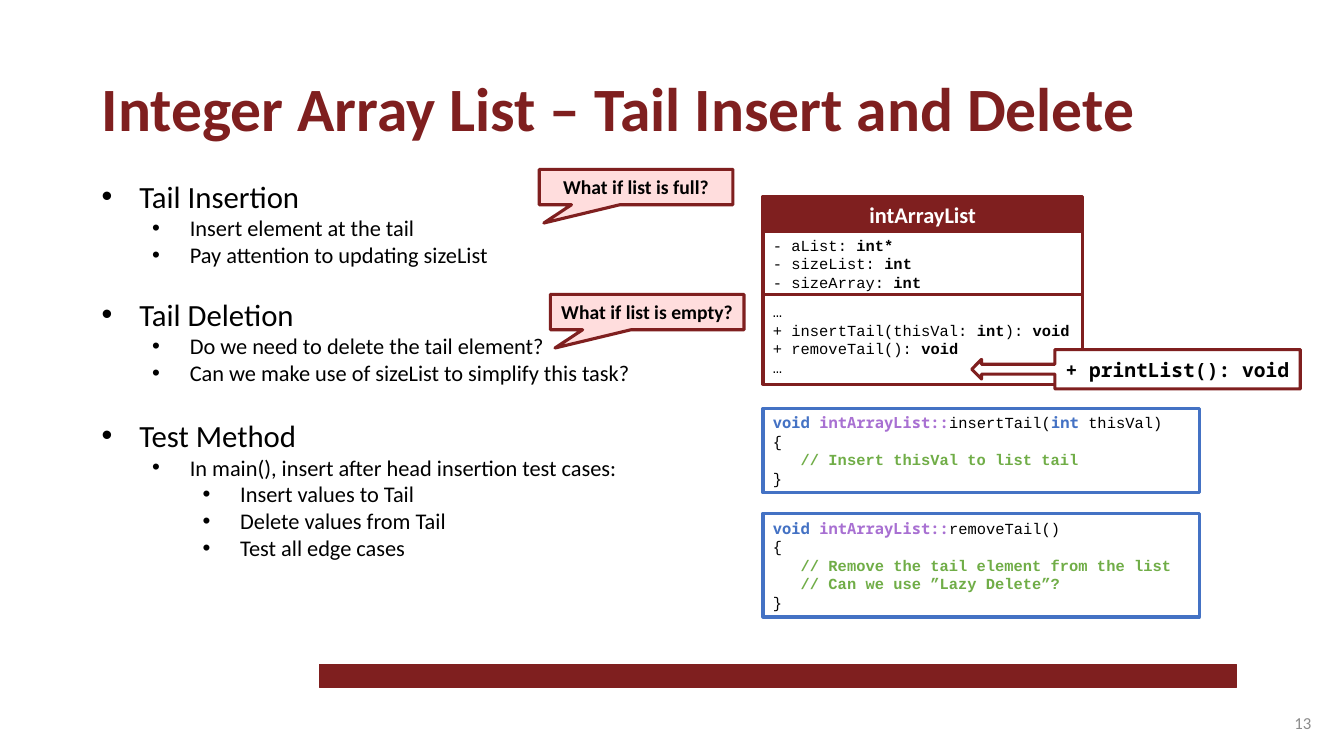
from lxml.etree import SubElement
from pptx import Presentation
from pptx.dml.color import RGBColor as RGB
from pptx.enum.shapes import MSO_SHAPE as SHAPE
from pptx.enum.text import MSO_ANCHOR as ANCHOR, MSO_AUTO_SIZE as AUTO, PP_ALIGN as ALIGN
from pptx.oxml.ns import qn
from pptx.util import Cm, Pt

RED = RGB(0x7F, 0x1F, 0x1F)
PINK = RGB(0xFF, 0xDD, 0xDD)
BLUE = RGB(0x44, 0x72, 0xC4)
PURPLE = RGB(0xA8, 0x70, 0xD2)
GREEN = RGB(0x70, 0xAD, 0x47)
GRAY = RGB(0x8C, 0x8C, 0x8C)
BLACK = RGB(0, 0, 0)
WHITE = RGB(0xFF, 0xFF, 0xFF)

SANS, MONO, CODE = "Calibri", "Noto Sans Mono", "Courier New"

# Run styles: font name, colour, bold
PLAIN = (CODE, BLACK, False)
BOLD = (CODE, BLACK, True)
NOTE = (CODE, GREEN, True)
KEY = (MONO, BLUE, True)
OWNER = (MONO, PURPLE, True)

# Outline: space before in points, level, text
TOPICS = [
    (0, 0, "Tail Insertion"),
    (0, 1, "Insert element at the tail"),
    (0, 1, "Pay attention to updating sizeList"),
    (19.5, 0, "Tail Deletion"),
    (0, 1, "Do we need to delete the tail element?"),
    (0, 1, "Can we make use of sizeList to simplify this task?"),
    (22, 0, "Test Method"),
    (0, 1, "In main(), insert after head insertion test cases:"),
    (0, 2, "Insert values to Tail"),
    (0, 2, "Delete values from Tail"),
    (0, 2, "Test all edge cases"),
]

# Code lines: lists of (text, run style)
FIELDS = [[(f"- {name}: ", PLAIN), (kind, BOLD)] for name, kind in
          [("aList", "int*"), ("sizeList", "int"), ("sizeArray", "int")]]
METHODS = [
    [("…", PLAIN)],
    [("+ insertTail(thisVal: ", PLAIN), ("int", BOLD), ("): ", PLAIN), ("void", BOLD)],
    [("+ removeTail(): ", PLAIN), ("void", BOLD)],
    [("…", PLAIN)],
]
INSERT = [("insertTail(", PLAIN), ("int ", KEY), ("thisVal)", PLAIN)]
REMOVE = [("removeTail()", PLAIN)]


def body_of(head, *notes):
    """Return the code lines of one method with its comments."""
    return [[("void ", KEY), ("intArrayList::", OWNER), *head], [("{", PLAIN)],
            *[[(note, NOTE)] for note in notes], [("}", PLAIN)]]


def style(font, size, name, color, bold=False):
    font.size, font.name, font.bold = Pt(size), name, bold
    font.color.rgb = color


class Deck:
    def __init__(self):
        self.show = Presentation()
        self.show.slide_width, self.show.slide_height = Cm(33.87), Cm(19.05)
        self.slide = self.show.slides.add_slide(self.show.slide_layouts[1])

    def place(self, shape, x, y, w, h):
        shape.left, shape.top, shape.width, shape.height = map(Cm, (x, y, w, h))
        frame = shape.text_frame
        frame.word_wrap, frame.auto_size = True, AUTO.NONE
        frame.vertical_anchor = ANCHOR.TOP
        return frame

    def title(self, text, *area):
        frame = self.place(self.slide.shapes.title, *area)
        frame.text = text
        para = frame.paragraphs[0]
        para.alignment = ALIGN.LEFT
        style(para.font, 44, SANS, RED, True)

    def outline(self, items, *area):
        frame = self.place(self.slide.placeholders[1], *area)
        for i, (gap, level, text) in enumerate(items):
            para = frame.add_paragraph() if i else frame.paragraphs[0]
            para.text, para.level = text, level
            para.space_before = Pt(gap)
            props = para._p.get_or_add_pPr()
            props.set("marL", str(Cm(0.95 + 1.27 * level)))
            props.set("indent", str(Cm(-0.95)))
            SubElement(props, qn("a:buFont"), typeface="Arial")
            SubElement(props, qn("a:buChar"), char="•")
            style(para.font, 16 if level else 22, SANS, BLACK)

    def number(self, text, *area):
        frame = self.place(self.slide.shapes.add_textbox(0, 0, 0, 0), *area)
        frame.vertical_anchor = ANCHOR.MIDDLE
        self.label(frame, text, 12, SANS, GRAY, False, ALIGN.RIGHT)

    def label(self, frame, text, size, name, color, bold=True, align=ALIGN.CENTER):
        frame.text = text
        para = frame.paragraphs[0]
        para.alignment = align
        style(para.font, size, name, color, bold)

    def box(self, area, fill, line=RED, width=2.25, kind=SHAPE.RECTANGLE, adjust=()):
        shape = self.slide.shapes.add_shape(kind, 0, 0, 0, 0)
        shape.shadow.inherit = False
        for i, value in enumerate(adjust):
            shape.adjustments[i] = value
        shape.fill.solid()
        shape.fill.fore_color.rgb = fill
        shape.line.color.rgb, shape.line.width = line, Pt(width)
        frame = self.place(shape, *area)
        frame.vertical_anchor = ANCHOR.MIDDLE
        return frame

    def callout(self, text, x, y):
        frame = self.box((x, y, 4.88, 0.89), PINK, kind=SHAPE.RECTANGULAR_CALLOUT,
                         adjust=(-0.476, 1.017))
        self.label(frame, text, 14, SANS, BLACK)

    def code(self, lines, line, *area):
        frame = self.box(area, WHITE, line)
        for i, runs in enumerate(lines):
            para = frame.add_paragraph() if i else frame.paragraphs[0]
            para.alignment, para.font.size = ALIGN.LEFT, Pt(11)
            if runs[0][1] is NOTE:
                para._p.get_or_add_pPr().set("marL", str(Cm(0.7)))
            for text, look in runs:
                run = para.add_run()
                run.text = text
                style(run.font, 11, *look)


def main():
    deck = Deck()
    deck.box((8.05, 16.74, 23.11, 0.58), RED, width=1)
    deck.title("Integer Array List – Tail Insert and Delete", 2.31, 1.63, 27.97, 2.13)
    deck.number("13", 25.68, 17.7, 7.62, 1.02)
    deck.outline(TOPICS, 2.31, 4.34, 16.15, 11.46)
    deck.callout("What if list is full?", 13.59, 4.27)
    deck.callout("What if list is empty?", 13.87, 7.42)

    left, wide = 19.23, 8.05
    head = deck.box((left, 4.95, wide, 0.89), RED)
    deck.label(head, "intArrayList", 16, SANS, WHITE)
    deck.code(FIELDS, RED, left, 5.84, wide, 1.6)
    deck.code(METHODS, RED, left, 7.42, wide, 2.26)

    insert = body_of(INSERT, "// Insert thisVal to list tail")
    remove = body_of(REMOVE, "// Remove the tail element from the list",
                     "// Can we use ”Lazy Delete”?")
    deck.code(insert, BLUE, left, 10.29, 11, 2.13)
    deck.code(remove, BLUE, left, 12.93, 11, 2.62)

    arrow = deck.box((24.49, 8.81, 8.28, 0.99), WHITE, kind=SHAPE.LEFT_ARROW_CALLOUT,
                     adjust=(0.25, 0.25, 0.25, 0.747))
    deck.label(arrow, "+ printList(): void", 14, MONO, BLACK)
    deck.show.save("out.pptx")


if __name__ == "__main__":
    main()
